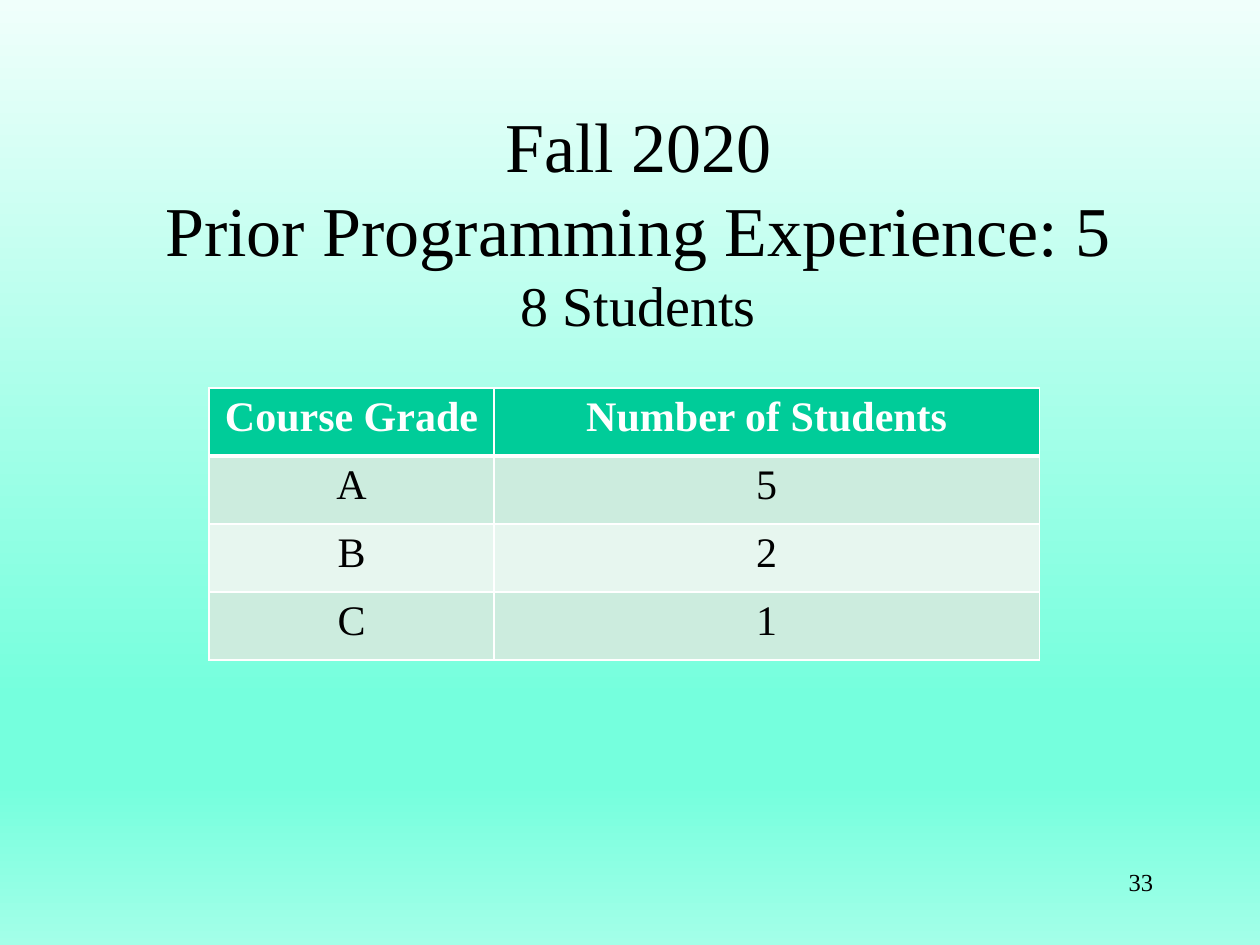
"""Build a slide with the course grades of students with prior programming experience."""
import lxml.etree
import pptx
import pptx.dml.color
import pptx.enum.text
import pptx.oxml.ns
import pptx.util

Inches = pptx.util.Inches
Pt = pptx.util.Pt
Align = pptx.enum.text.PP_ALIGN
Anchor = pptx.enum.text.MSO_ANCHOR
qn = pptx.oxml.ns.qn

FONT = "Times New Roman"
BACKGROUND = [(0, "F0FFFB"), (74, "75FFDD"), (83, "75FFDD"), (100, "A3FFE8")]
TITLE = [("Fall 2020", 40), ("Prior Programming Experience: 5", 40), ("8 Students", 32)]
PAGE_NUMBER = [("33", 14)]
GRADES = [("Course Grade", "Number of Students"), ("A", "5"), ("B", "2"), ("C", "1")]
COLUMN_WIDTHS = [2.26, 4.33]
ROW_HEIGHT = 0.54
HEADER_FILL = "00CC99"
BAND_FILLS = ["CCECDE", "E7F6EF"]


def color(value):
    return pptx.dml.color.RGBColor.from_string(value)


def add_span(para, text, size, ink="000000", bold=False, align=Align.CENTER):
    para.alignment = align
    span = para.add_run()
    span.text = text
    span.font.name = FONT
    span.font.size = Pt(size)
    span.font.bold = bold
    span.font.color.rgb = color(ink)


def add_text(page, place, lines, align, anchor, wrap):
    box = page.shapes.add_textbox(*map(Inches, place))
    frame = box.text_frame
    frame.word_wrap = wrap
    frame.vertical_anchor = anchor
    for index, (text, size) in enumerate(lines):
        para = frame.add_paragraph() if index else frame.paragraphs[0]
        add_span(para, text, size, align=align)


def paint_background(page):
    fill = page.background.fill
    fill.gradient()
    fill.gradient_angle = 270
    stops = next(page.element.iter(qn("a:gsLst")))
    for stop in list(stops):
        stops.remove(stop)
    for percent, value in BACKGROUND:
        stop = lxml.etree.SubElement(stops, qn("a:gs"), pos=str(percent * 1000))
        lxml.etree.SubElement(stop, qn("a:srgbClr"), val=value)


def add_borders(cell, widths):
    properties = cell._tc.get_or_add_tcPr()
    for index, (side, width) in enumerate(widths.items()):
        line = lxml.etree.Element(qn("a:ln" + side), w=str(Pt(width)))
        fill = lxml.etree.SubElement(line, qn("a:solidFill"))
        lxml.etree.SubElement(fill, qn("a:srgbClr"), val="FFFFFF")
        properties.insert(index, line)


def add_grades(page, left, top):
    size = (sum(COLUMN_WIDTHS), ROW_HEIGHT * len(GRADES))
    frame = page.shapes.add_table(
        len(GRADES), len(COLUMN_WIDTHS), *map(Inches, (left, top, *size))
    )
    table = frame.table
    for column, width in zip(table.columns, COLUMN_WIDTHS):
        column.width = Inches(width)
    for row, values in enumerate(GRADES):
        table.rows[row].height = Inches(ROW_HEIGHT)
        header = row == 0
        fill = HEADER_FILL if header else BAND_FILLS[(row - 1) % 2]
        borders = {"L": 1, "R": 1, "T": 3 if row == 1 else 1, "B": 3 if header else 1}
        for column, text in enumerate(values):
            cell = table.cell(row, column)
            cell.fill.solid()
            cell.fill.fore_color.rgb = color(fill)
            add_borders(cell, borders)
            ink = "FFFFFF" if header else "000000"
            add_span(cell.text_frame.paragraphs[0], text, 24, ink, header)


def main():
    deck = pptx.Presentation()
    deck.slide_width, deck.slide_height = Inches(10), Inches(7.5)
    page = deck.slides.add_slide(deck.slide_layouts[6])
    paint_background(page)
    add_text(page, (7.17, 6.83, 2.08, 0.5), PAGE_NUMBER, Align.RIGHT, Anchor.TOP, True)
    add_grades(page, 1.66, 3.08)
    add_text(page, (1.17, 0.75, 7.79, 1.99), TITLE, Align.CENTER, Anchor.MIDDLE, False)
    deck.save("out.pptx")


if __name__ == "__main__":
    main()
